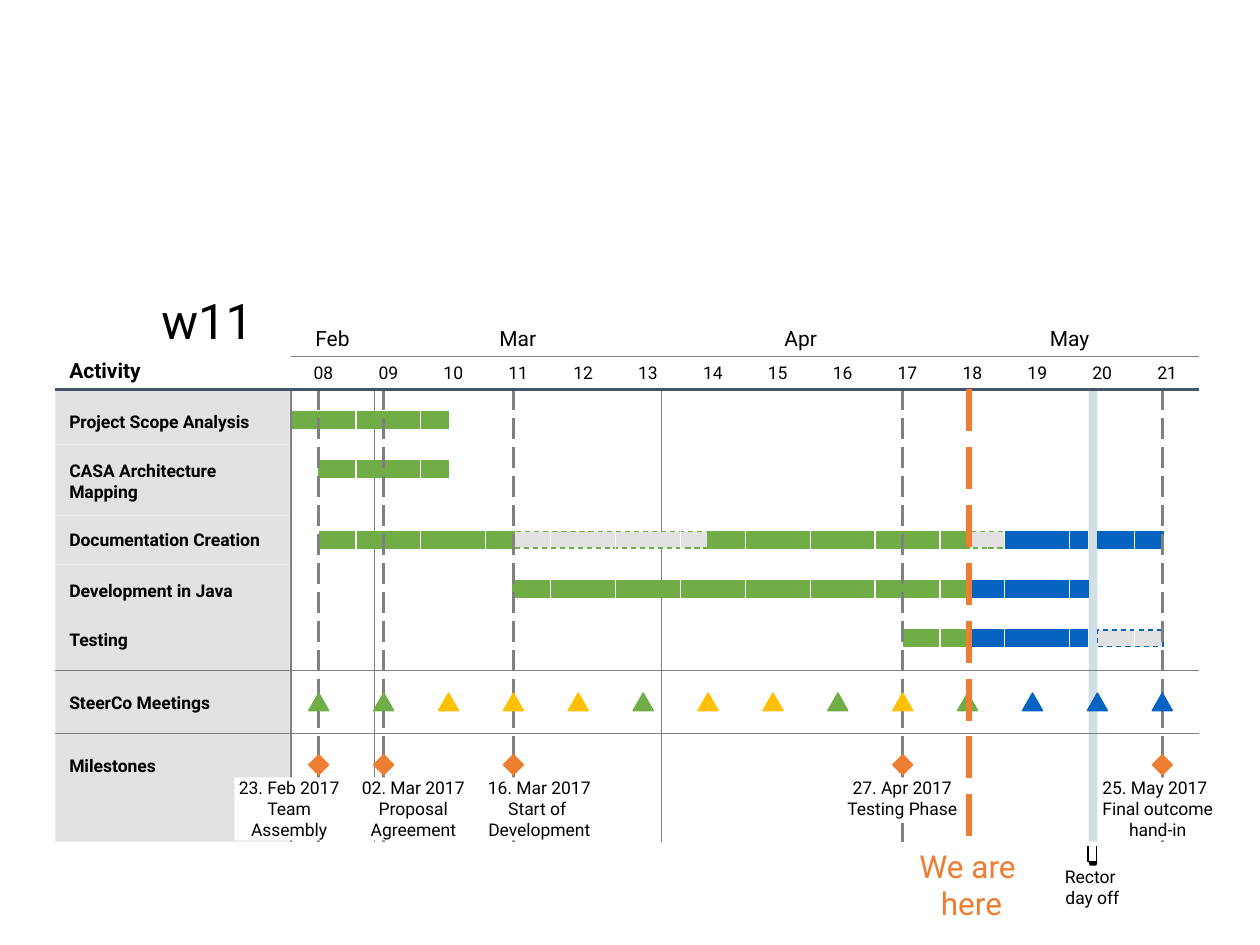
from lxml.etree import SubElement
from pptx import Presentation
from pptx.dml.color import RGBColor
from pptx.enum.dml import MSO_LINE
from pptx.enum.shapes import MSO_CONNECTOR, MSO_SHAPE
from pptx.enum.text import MSO_ANCHOR, PP_ALIGN
from pptx.oxml.ns import qn
from pptx.util import Inches, Pt

color = RGBColor.from_string
GREEN, BLUE, GOLD, ORANGE = "70AD47", "0563C1", "FFC000", "ED7D31"
PALE, GRAY, BLACK, WHITE = "E2E2E2", "808080", "000000", "FFFFFF"
FONT = "Roboto"
LEFT, MID = PP_ALIGN.LEFT, PP_ALIGN.CENTER
START, WEEK, END = 2.31, 0.515, 9.52
EDGE, TOP, BASE = 0.44, 3.09, 6.68
TODAY = 7.69

deck = Presentation()
deck.slide_width, deck.slide_height = Inches(10), Inches(7.5)
slide = deck.slides.add_slide(deck.slide_layouts[5])


def draw(kind, x, y, w, h, fill=None, edge=None, dash=None):
    shape = slide.shapes.add_shape(kind, Inches(x), Inches(y), Inches(w), Inches(h))
    shape.shadow.inherit = False
    if fill:
        shape.fill.solid()
        shape.fill.fore_color.rgb = color(fill)
    else:
        shape.fill.background()
    if edge:
        shape.line.color.rgb = color(edge)
        shape.line.width = Pt(0.75)
        shape.line.dash_style = dash
    else:
        shape.line.fill.background()
    return shape


def rule(x1, y1, x2, y2, tint=GRAY, width=0.75, dash=None):
    line = slide.shapes.add_connector(
        MSO_CONNECTOR.STRAIGHT, Inches(x1), Inches(y1), Inches(x2), Inches(y2))
    line.line.color.rgb = color(tint)
    line.line.width = Pt(width)
    line.line.dash_style = dash
    SubElement(line._element.spPr, qn("a:effectLst"))


title = slide.shapes.title
title.left, title.top = Inches(1.18), Inches(1.97)
title.width, title.height = Inches(8.52), Inches(1.19)
title.text_frame.text = "w11"
title.text_frame.vertical_anchor = MSO_ANCHOR.MIDDLE
head = title.text_frame.paragraphs[0]
head.alignment, head.line_spacing = LEFT, 0.9
head.font.name, head.font.size = FONT, Pt(28)
head.font.color.rgb = color(BLACK)

rows = [
    ("Project Scope Analysis", 3.09, 3.26),
    ("CASA Architecture \vMapping", 3.53, 3.65),
    ("Documentation Creation", 4.09, 4.2),
    ("Development in Java", 4.48, 4.6),
    ("Testing", 4.88, 4.99),
    ("SteerCo Meetings", 5.32, 5.49),
    ("Milestones", 5.82, 5.99),
]
stops = [top for _, top, _ in rows[1:]] + [BASE]
for (_, top, _), stop in zip(rows, stops):
    draw(MSO_SHAPE.RECTANGLE, EDGE, top, 1.86, stop - top, PALE)
draw(MSO_SHAPE.RECTANGLE, 8.64, TOP, 0.07, BASE - TOP, "D2E0E6")

months = [("Feb", START, 2.97), ("Mar", 2.97, 5.25),
          ("Apr", 5.25, 7.46), ("May", 7.46, END)]
for _, x1, x2 in months:
    rule(x1, 2.83, x2, 2.83)
    rule(x1, TOP, x1, BASE)

bars = [
    (3.27, 2.32, 3.56, GREEN, GREEN),
    (3.66, 2.53, 3.56, GREEN, GREEN),
    (4.22, TODAY, 7.98, PALE, GREEN),
    (4.22, 4.07, 5.62, PALE, GREEN),
    (4.22, 8.71, 9.23, BLUE, BLUE),
    (4.22, 7.97, 8.63, BLUE, BLUE),
    (4.22, 5.62, TODAY, GREEN, GREEN),
    (4.22, 2.54, 4.08, GREEN, GREEN),
    (4.61, TODAY, 8.64, BLUE, BLUE),
    (4.61, 4.07, 7.68, GREEN, GREEN),
    (5, TODAY, 8.63, BLUE, BLUE),
    (5, 7.17, TODAY, GREEN, GREEN),
    (5, 8.71, 9.23, PALE, BLUE),
]
for y, x1, x2, fill, edge in bars:
    dash = MSO_LINE.DASH if fill == PALE else None
    draw(MSO_SHAPE.RECTANGLE, x1, y, x2 - x1, 0.13, fill, edge, dash)

for i in range(1, 14):
    x = START + i * WEEK
    rule(x, TOP, x, BASE, WHITE)
for y in (5.82, 5.32):
    rule(EDGE, y, END, y)

goals = [0, 1, 3, 9, 13]
for i in goals:
    x = 2.53 + i * WEEK
    rule(x, TOP, x, BASE, GRAY, 1.5, MSO_LINE.LONG_DASH)
rule(EDGE, TOP, END, TOP, "44546A", 1.5)

tints = ([GREEN] * 2 + [GOLD] * 3 + [GREEN] + [GOLD] * 2
         + [GREEN, GOLD, GREEN] + [BLUE] * 3)
for i, tint in enumerate(tints):
    x = 2.45 + i * WEEK
    draw(MSO_SHAPE.ISOSCELES_TRIANGLE, x, 5.5, 0.16, 0.14, tint, tint)
    if i in goals:
        draw(MSO_SHAPE.DIAMOND, x, 5.99, 0.16, 0.16, ORANGE, ORANGE)
rule(TODAY, TOP, TODAY, BASE, ORANGE, 3, MSO_LINE.LONG_DASH)

clip = draw(MSO_SHAPE.RIGHT_BRACKET, 8.61, 6.74, 0.12, 0.07, None, BLACK)
clip.adjustments[0] = 0
clip.rotation = 90
draw(MSO_SHAPE.ISOSCELES_TRIANGLE, 8.64, 6.84, 0.07, 0.12, BLACK).rotation = 180

notes = [("Activity", 0.55, 2.84, 0.64, 0.2, 12, BLACK, True, LEFT, None)]
for name, _, y in rows:
    notes.append((name, 0.55, y, 1.66, 0.17, 10, BLACK, True, LEFT, None))
for name, x1, x2 in months:
    notes.append((name, x1, 2.54, x2 - x1, 0.29, 12, BLACK, False, MID, None))
for i in range(14):
    notes.append((f"{i + 8:02}", START + i * WEEK, 2.83, WEEK, 0.26,
                  10, BLACK, False, MID, None))
for name, x, y, w, h, size, tint in [
    ("23. Feb 2017\nTeam\vAssembly", 1.86, 6.17, 0.87, 0.5, 10, BLACK),
    ("02. Mar 2017\nProposal\vAgreement", 2.84, 6.17, 0.88, 0.5, 10, BLACK),
    ("16. Mar 2017\nStart of \nDevelopment", 3.82, 6.17, 0.92, 0.5, 10, BLACK),
    ("27. Apr 2017\nTesting Phase", 6.69, 6.17, 0.94, 0.33, 10, BLACK),
    ("25. May 2017\nFinal outcome\nhand-in", 8.75, 6.17, 0.96, 0.5, 10, BLACK),
    ("Rector \vday off", 8.38, 6.87, 0.58, 0.17, 10, BLACK),
    ("We are \nhere", 7.24, 6.72, 0.94, 0.33, 18, ORANGE),
]:
    notes.append((name, x, y, w, h, size, tint, False, MID, WHITE))

for name, x, y, w, h, size, tint, bold, align, fill in notes:
    box = slide.shapes.add_textbox(Inches(x), Inches(y), Inches(w), Inches(h))
    if fill:
        box.fill.solid()
        box.fill.fore_color.rgb = color(fill)
    frame = box.text_frame
    frame.word_wrap = False
    frame.margin_left = frame.margin_right = 0
    frame.margin_top = frame.margin_bottom = 0
    if align == MID and not fill:
        frame.vertical_anchor = MSO_ANCHOR.MIDDLE
    frame.text = name
    for para in frame.paragraphs:
        para.alignment = LEFT if para.text == "25. May 2017" else align
        para.font.name, para.font.size, para.font.bold = FONT, Pt(size), bold
        para.font.color.rgb = color(tint)

deck.save("out.pptx")
